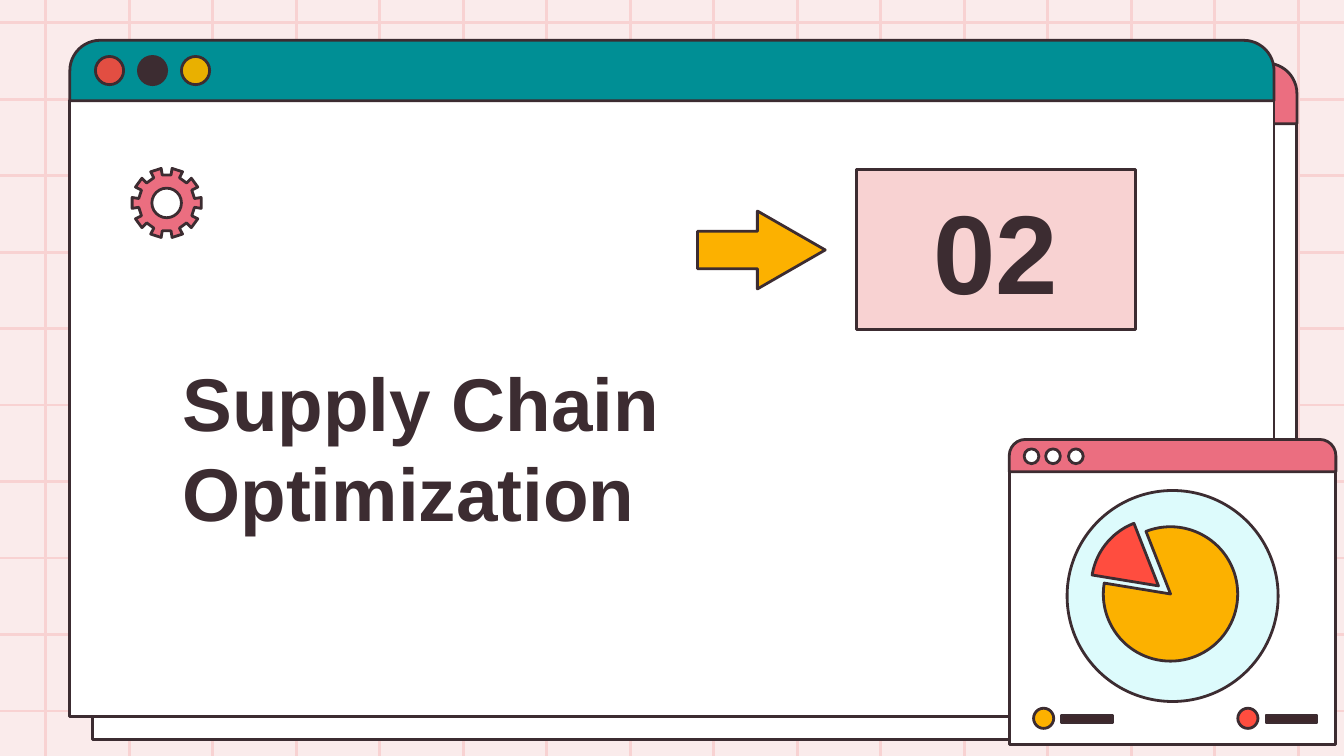
from dataclasses import dataclass
from math import cos, radians, sin

from lxml import etree
from pptx import Presentation
from pptx.dml.color import RGBColor
from pptx.enum import shapes, text
from pptx.oxml import ns
from pptx.util import Inches, Pt


@dataclass
class Theme:
    back: str = "FAEBEB"
    blush: str = "F8D2D2"
    ink: str = "3C2C31"
    bar: str = "3E282C"
    white: str = "FFFFFF"
    teal: str = "008F95"
    pink: str = "EB6E80"
    brick: str = "E24E42"
    gold: str = "E9B000"
    amber: str = "FCB100"
    red: str = "FF4D3F"
    ice: str = "DDFBFC"
    font: str = "Arial"
    title: int = 40
    number: int = 60
    line: float = 1.5


theme = Theme()
kinds = shapes.MSO_SHAPE
WIDE, HIGH = 10, 10 * 9 / 16

deck = Presentation()
deck.slide_width, deck.slide_height = Inches(WIDE), Inches(HIGH)
slide = deck.slides.add_slide(deck.slide_layouts[6])
slide.background.fill.solid()
slide.background.fill.fore_color.rgb = RGBColor.from_string(theme.back)


def draw(kind, x, y, w, h, fill, adjust=(), points=None):
    """Add an outlined preset shape, or the outline through points."""
    if points:
        pen = slide.shapes.build_freeform(*points[0])
        pen.add_line_segments(points[1:], close=True)
        shape = pen.convert_to_shape()
    else:
        shape = slide.shapes.add_shape(
            kind, Inches(x), Inches(y), Inches(w), Inches(h))
    for i, value in enumerate(adjust):
        shape.adjustments[i] = value
    shape.shadow.inherit = False
    shape.fill.solid()
    shape.fill.fore_color.rgb = RGBColor.from_string(fill)
    shape.line.color.rgb = RGBColor.from_string(theme.ink)
    shape.line.width = Pt(theme.line)
    return shape


def write(shape, words, size, align, anchor):
    """Put one bold paragraph into a shape."""
    frame = shape.text_frame
    frame.word_wrap = True
    frame.vertical_anchor = anchor
    frame.margin_left = frame.margin_right = Inches(0.1)
    frame.margin_top = frame.margin_bottom = Inches(0.1)
    para = frame.paragraphs[0]
    para.alignment = align
    run = para.add_run()
    run.text = words
    run.font.name, run.font.size, run.font.bold = theme.font, Pt(size), True
    run.font.color.rgb = RGBColor.from_string(theme.ink)


# Background grid
cols = [0.34 + 9.32 * i / 15 for i in range(16)]
rows = [0.17 + 5.12 * i / 9 for i in range(10)]
grid = [(x, 0, x, HIGH) for x in cols] + [(0, y, WIDE, y) for y in rows]
for ends in grid:
    rule = slide.shapes.add_connector(
        shapes.MSO_CONNECTOR.STRAIGHT, *[Inches(v) for v in ends])
    rule.line.color.rgb = RGBColor.from_string(theme.blush)
    rule.line.width = Pt(theme.line)
    etree.SubElement(rule._element.spPr, ns.qn("a:effectLst"))

# Two stacked windows
for x, y, color in ((0.69, 0.47, theme.pink), (0.52, 0.3, theme.teal)):
    draw(kinds.RECTANGLE, x, y + 0.45, 8.96, 4.58, theme.white)
    draw(kinds.ROUND_2_SAME_RECTANGLE, x, y, 8.96, 0.45, color, (0.5, 0))
    for i, dot in enumerate((theme.brick, theme.ink, theme.gold)):
        draw(kinds.OVAL, x + 0.19 + 0.32 * i, y + 0.12, 0.21, 0.21, dot)

# Title and section number
title = slide.shapes.add_textbox(
    Inches(1.26), Inches(2.46), Inches(4.32), Inches(1.63))
write(title, "Supply Chain Optimization", size=theme.title,
      align=text.PP_ALIGN.LEFT, anchor=text.MSO_ANCHOR.BOTTOM)
number = draw(kinds.RECTANGLE, 6.37, 1.26, 2.08, 1.19, theme.blush)
write(number, "02", size=theme.number,
      align=text.PP_ALIGN.CENTER, anchor=text.MSO_ANCHOR.MIDDLE)
draw(kinds.RIGHT_ARROW, 5.19, 1.57, 0.95, 0.58, theme.amber, (0.48, 0.87))

# Small window with its legend
draw(kinds.RECTANGLE, 7.51, 3.51, 2.43, 2.03, theme.white)
for x, color in ((7.69, theme.amber), (9.21, theme.red)):
    draw(kinds.RECTANGLE, x + 0.21, 5.32, 0.38, 0.06, theme.bar)
    draw(kinds.OVAL, x, 5.27, 0.15, 0.15, color)
draw(kinds.ROUND_2_SAME_RECTANGLE, 7.51, 3.27, 2.43, 0.24, theme.pink, (0.5, 0))
for x in (7.62, 7.78, 7.95):
    draw(kinds.OVAL, x, 3.34, 0.11, 0.11, theme.white)

# Pie drawing; angle adjustments are 0.6 per degree
low, high = 189.3 * 0.6, 248.6 * 0.6
draw(kinds.OVAL, 7.94, 3.65, 1.57, 1.57, theme.ice)
draw(kinds.PIE, 8.21, 3.92, 1, 1, theme.amber, (high, low))
draw(kinds.PIE, 8.12, 3.86, 1, 1, theme.red, (low, high))

# Gear with ten teeth
mid_x, mid_y = 1.24, 1.51
teeth = []
for i in range(10):
    for turn, reach in ((9, 0.21), (9, 0.26), (27, 0.26), (27, 0.21)):
        angle = radians(36 * i + turn)
        teeth.append((Inches(mid_x + reach * sin(angle)),
                      Inches(mid_y - reach * cos(angle))))
draw(None, 0, 0, 0, 0, theme.pink, points=teeth)
draw(kinds.OVAL, mid_x - 0.11, mid_y - 0.11, 0.22, 0.22, theme.white)

deck.save("out.pptx")
